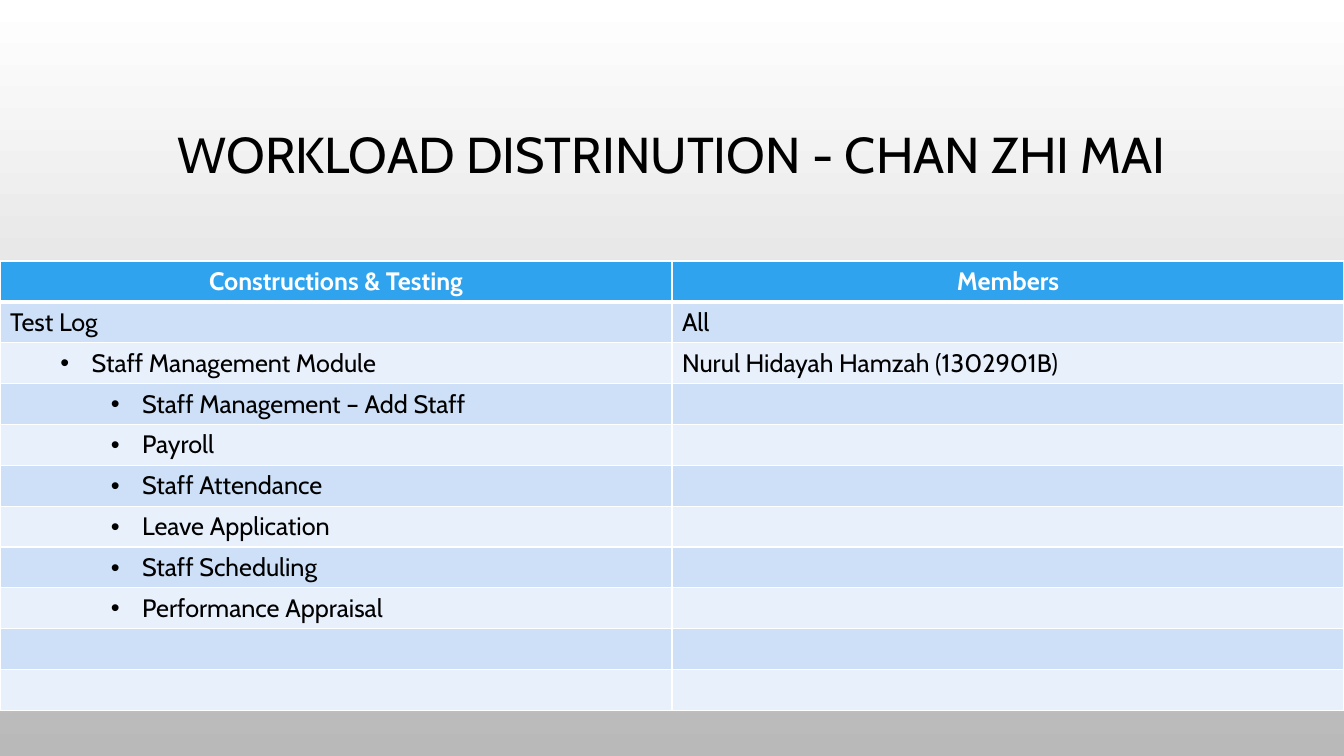
"""Build the workload distribution slide with its table of modules and members."""
import dataclasses

import lxml.etree
import pptx
import pptx.dml.color
import pptx.enum.text
import pptx.oxml.ns
import pptx.util

Inches = pptx.util.Inches
Align = pptx.enum.text.PP_ALIGN


@dataclasses.dataclass(frozen=True)
class Theme:
    """Colours, font and type sizes of the slide."""
    font: str = "Cabin"
    title_size: int = 36
    table_size: int = 18
    text: str = "000000"
    light: str = "FFFFFF"
    background_end: str = "B9B9B9"
    header: str = "2FA3EE"
    bands: tuple = ("CDE0F8", "E8F0FC")
    border: int = 1
    header_border: int = 3


THEME = Theme()
HEADINGS = ("Constructions & Testing", "Members")
WORKLOAD = (
    (0, "Test Log", "All"),
    (1, "Staff Management Module", "Nurul Hidayah Hamzah (1302901B)"),
    (2, "Staff Management – Add Staff", ""),
    (2, "Payroll", ""),
    (2, "Staff Attendance", ""),
    (2, "Leave Application", ""),
    (2, "Staff Scheduling", ""),
    (2, "Performance Appraisal", ""),
    (0, "", ""),
    (0, "", ""),
)


def rgb(value):
    """Return a colour object for a hex value."""
    return pptx.dml.color.RGBColor.from_string(value)


def apply_format(target, values):
    """Set each named attribute of the target."""
    for name, value in values.items():
        setattr(target, name, value)


def add_element(parent, tag, **attributes):
    """Append a drawing element to the parent."""
    element = lxml.etree.SubElement(parent, pptx.oxml.ns.qn(tag))
    for name, value in attributes.items():
        element.set(name, str(value))
    return element


def write_text(paragraph, text, size, color=THEME.text, bold=False):
    """Write one formatted run into a paragraph."""
    run = paragraph.add_run()
    run.text = text
    apply_format(run.font, {"name": THEME.font, "size": pptx.util.Pt(size), "bold": bold})
    run.font.color.rgb = rgb(color)


def paint_background(slide):
    """Fill the slide with a top-to-bottom gradient."""
    fill = slide.background.fill
    fill.gradient()
    fill.gradient_angle = 270
    for stop, color in zip(fill.gradient_stops, (THEME.light, THEME.background_end)):
        stop.color.rgb = rgb(color)


def add_title(slide, text):
    """Add the centred slide title."""
    box = slide.shapes.add_textbox(Inches(1), Inches(0.68), Inches(11.33), Inches(1.75))
    apply_format(box.text_frame, {
        "word_wrap": True,
        "vertical_anchor": pptx.enum.text.MSO_ANCHOR.MIDDLE,
    })
    paragraph = box.text_frame.paragraphs[0]
    apply_format(paragraph, {"alignment": Align.CENTER, "line_spacing": 0.9})
    write_text(paragraph, text, THEME.title_size)


def style_cell(cell, color, top=THEME.border, bottom=THEME.border):
    """Give a cell its borders and fill."""
    properties = cell._tc.get_or_add_tcPr()
    widths = {"a:lnL": THEME.border, "a:lnR": THEME.border, "a:lnT": top, "a:lnB": bottom}
    for tag, width in widths.items():
        line = add_element(properties, tag, w=pptx.util.Pt(width))
        add_element(add_element(line, "a:solidFill"), "a:srgbClr", val=THEME.light)
    cell.fill.solid()
    cell.fill.fore_color.rgb = rgb(color)


def add_bullet(paragraph, level):
    """Indent a paragraph to its level behind a bullet."""
    paragraph.level = level
    properties = paragraph._p.get_or_add_pPr()
    properties.set("marL", str(Inches(0.31 + 0.5 * level)))
    properties.set("indent", str(Inches(-0.31)))
    add_element(properties, "a:buFont", typeface="Arial")
    add_element(properties, "a:buChar", char="•")


def fill_header(table):
    """Write the heading row."""
    for cell, heading in zip(table.rows[0].cells, HEADINGS):
        style_cell(cell, THEME.header, bottom=THEME.header_border)
        paragraph = cell.text_frame.paragraphs[0]
        paragraph.alignment = Align.CENTER
        write_text(paragraph, heading, THEME.table_size, THEME.light, bold=True)


def fill_row(table, index, level, texts):
    """Write one banded row of the workload."""
    top = THEME.header_border if index == 1 else THEME.border
    for cell, text in zip(table.rows[index].cells, texts):
        style_cell(cell, THEME.bands[(index - 1) % 2], top=top)
        if text:
            write_text(cell.text_frame.paragraphs[0], text, THEME.table_size)
    if level:
        add_bullet(table.cell(index, 0).text_frame.paragraphs[0], level)


def add_workload_table(slide, width):
    """Add the full-width workload table."""
    row_count = len(WORKLOAD) + 1
    frame = slide.shapes.add_table(
        row_count, len(HEADINGS), 0, Inches(2.59), width, Inches(4.46))
    table = frame.table
    apply_format(table, {"first_row": True, "horz_banding": False})
    fill_header(table)
    for index, (level, *texts) in enumerate(WORKLOAD, start=1):
        fill_row(table, index, level, texts)


def main():
    """Build and save the presentation."""
    presentation = pptx.Presentation()
    apply_format(presentation, {"slide_width": Inches(13.33), "slide_height": Inches(7.5)})
    slide = presentation.slides.add_slide(presentation.slide_layouts[6])
    paint_background(slide)
    add_title(slide, "WORKLOAD DISTRINUTION - CHAN ZHI MAI")
    add_workload_table(slide, presentation.slide_width)
    presentation.save("out.pptx")


main()
